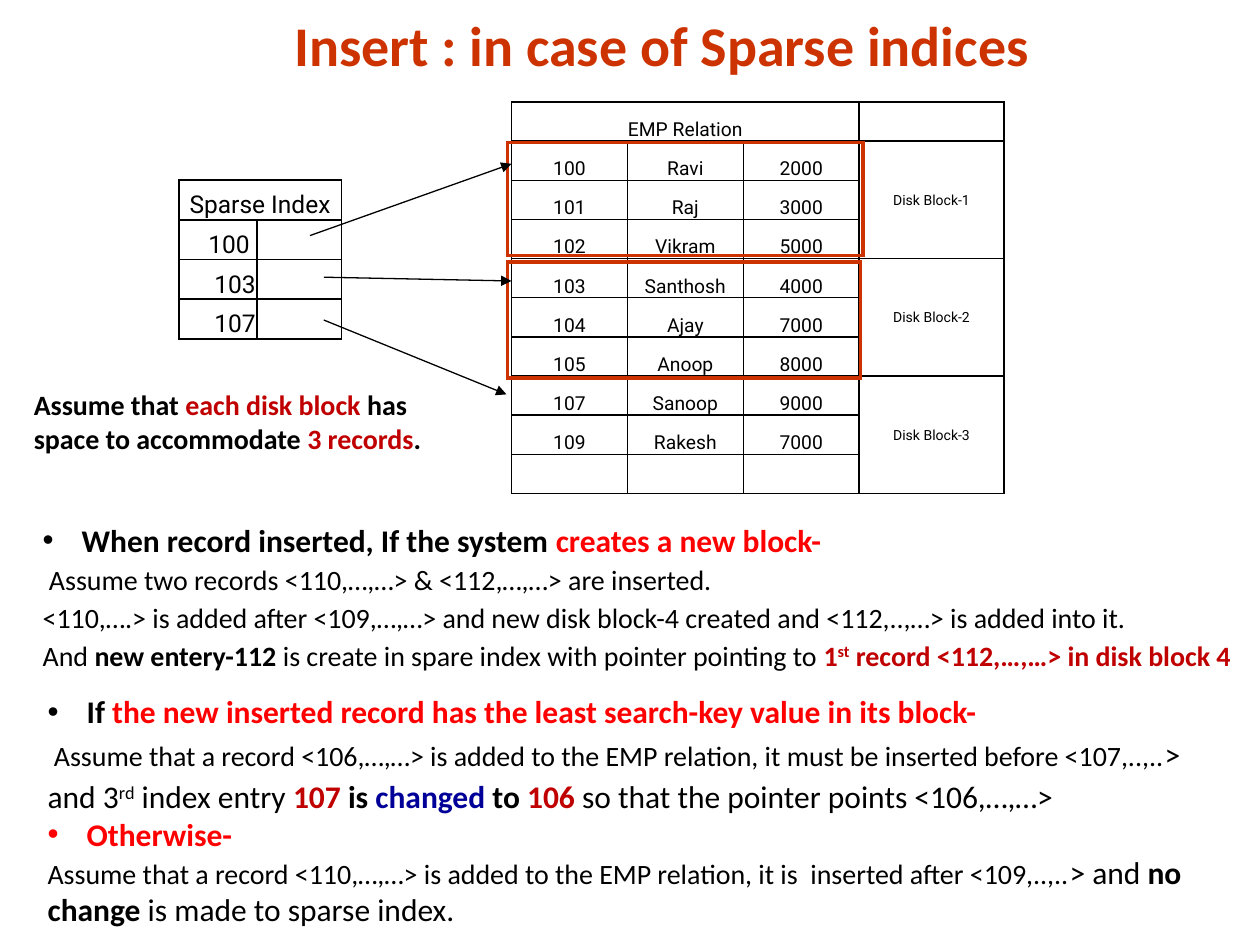
import pptx
import pptx.dml.color
import pptx.enum.shapes
import pptx.enum.text
import pptx.oxml
import pptx.oxml.ns
import pptx.util
from dataclasses import dataclass, field
from pptx.util import Inches

ALIGN = pptx.enum.text.PP_ALIGN
ANCHOR = pptx.enum.text.MSO_ANCHOR
NS = pptx.oxml.ns.nsdecls("a")


@dataclass
class Theme:
    body_font: str = "Calibri"
    table_font: str = "Roboto"
    colors: dict = field(default_factory=lambda: dict(
        black="000000", rust="CC3300", red="FF0000", crimson="C00000", navy="000099"))
    sizes: dict = field(default_factory=lambda: dict(
        title=32, large=18, body=16, index=14, relation=11, block=8))


THEME = Theme()


def rgb(color):
    return pptx.dml.color.RGBColor.from_string(THEME.colors[color])


def add_run(paragraph, text, size="body", color="black", bold=False,
            raised=False, face=THEME.body_font):
    run = paragraph.add_run()
    run.text = text
    look = {"name": face, "size": pptx.util.Pt(THEME.sizes[size]), "bold": bold}
    for name, value in look.items():
        setattr(run.font, name, value)
    run.font.color.rgb = rgb(color)
    if raised:
        run._r.get_or_add_rPr().set("baseline", "30000")


def add_text(slide, box, paragraphs, wrap=True, anchor=ANCHOR.TOP, align=ALIGN.LEFT):
    """Each paragraph is (bulleted, line spacing, runs)."""
    frame = slide.shapes.add_textbox(*map(Inches, box)).text_frame
    settings = {"word_wrap": wrap, "vertical_anchor": anchor,
                "auto_size": pptx.enum.text.MSO_AUTO_SIZE.NONE if anchor == ANCHOR.BOTTOM
                else pptx.enum.text.MSO_AUTO_SIZE.SHAPE_TO_FIT_TEXT}
    for name, value in settings.items():
        setattr(frame, name, value)
    for number, (bulleted, spacing, runs) in enumerate(paragraphs):
        paragraph = frame.add_paragraph() if number else frame.paragraphs[0]
        if bulleted:
            props = paragraph._p.get_or_add_pPr()
            props.set("marL", str(Inches(0.31)))
            props.set("indent", str(Inches(-0.31)))
            for xml in ('<a:buFont %s typeface="Arial"/>', '<a:buChar %s char="•"/>'):
                props.append(pptx.oxml.parse_xml(xml % NS))
        paragraph.alignment = align
        paragraph.line_spacing = spacing
        for text, *style in runs:
            add_run(paragraph, text, *style)


def add_grid(slide, box, widths, row_count, border="black", border_width=1):
    """Add an unfilled table with equal rows and a border around every cell."""
    table = slide.shapes.add_table(row_count, len(widths), *map(Inches, box)).table
    table.first_row = table.horz_banding = False
    for column, width in zip(table.columns, widths):
        column.width = Inches(width)
    for row in table.rows:
        row.height = Inches(box[3] / row_count)
    for cell in table.iter_cells():
        cell.fill.background()
        props = cell._tc.get_or_add_tcPr()
        for position, side in enumerate("LRTB"):
            props.insert(position, pptx.oxml.parse_xml(
                f'<a:ln{side} {NS} w="{pptx.util.Pt(border_width)}"><a:solidFill>'
                f'<a:srgbClr val="{THEME.colors[border]}"/></a:solidFill></a:ln{side}>'))
    return table


def fill_cell(cell, text, size, align=ALIGN.CENTER, anchor=ANCHOR.BOTTOM):
    margin = Inches(0.01)
    layout = {"margin_left": margin, "margin_right": margin, "margin_top": margin,
              "margin_bottom": 0, "vertical_anchor": anchor}
    for name, value in layout.items():
        setattr(cell, name, value)
    paragraph = cell.text_frame.paragraphs[0]
    paragraph.alignment = align
    if text:
        add_run(paragraph, text, size, face=THEME.table_font)
    else:
        end = paragraph._p.get_or_add_endParaRPr()
        end.set("sz", str(THEME.sizes[size] * 100))


def add_sparse_index(slide, box):
    keys = ["100 ", "103", "107"]
    table = add_grid(slide, box, [0.62, 0.67], len(keys) + 1)
    table.cell(0, 0).merge(table.cell(0, 1))
    fill_cell(table.cell(0, 0), "Sparse Index", "index")
    for row, key in enumerate(keys, 1):
        fill_cell(table.cell(row, 0), key, "index", ALIGN.RIGHT)
        fill_cell(table.cell(row, 1), "", "index")


def add_emp_relation(slide, box):
    records = [("100", "Ravi", "2000"), ("101", "Raj", "3000"), ("102", "Vikram", "5000"),
               ("103", "Santhosh", "4000"), ("104", "Ajay", "7000"), ("105", "Anoop", "8000"),
               ("107", "Sanoop", "9000"), ("109", "Rakesh", "7000"), ("", "", "")]
    block_size = 3
    table = add_grid(slide, box, [0.92, 0.92, 0.92, 1.15], len(records) + 1)
    table.cell(0, 0).merge(table.cell(0, 2))
    fill_cell(table.cell(0, 0), "EMP Relation", "relation")
    fill_cell(table.cell(0, 3), "", "relation")
    for row, record in enumerate(records, 1):
        for column, value in enumerate(record):
            fill_cell(table.cell(row, column), value, "relation")
    for block in range(len(records) // block_size):
        top = 1 + block * block_size
        table.cell(top, 3).merge(table.cell(top + block_size - 1, 3))
        fill_cell(table.cell(top, 3), f"Disk Block-{block + 1}", "block", anchor=ANCHOR.MIDDLE)


def add_block_frame(slide, box):
    add_grid(slide, box, [box[2]], 1, "rust", 2.25)


def add_pointer(slide, start, end):
    pointer = slide.shapes.add_connector(
        pptx.enum.shapes.MSO_CONNECTOR.STRAIGHT, *map(Inches, start + end))
    pointer.line.color.rgb = rgb("black")
    pointer.line.width = pptx.util.Pt(0.75)
    pointer.line._get_or_add_ln().append(
        pptx.oxml.parse_xml(f'<a:tailEnd {NS} type="triangle"/>'))
    pointer._element.spPr.append(pptx.oxml.parse_xml(f"<a:effectLst {NS}/>"))


def add_title(slide, box):
    title = ("Insert : in case of Sparse indices", "title", "rust", True)
    add_text(slide, box, [(False, 1.0, [title])], anchor=ANCHOR.BOTTOM, align=ALIGN.CENTER)


def add_assumption(slide, box):
    add_text(slide, box, [(False, 1.0, [
        ("Assume that ", "body", "black", True),
        ("each disk block ", "body", "crimson", True),
        ("has space to accommodate ", "body", "black", True),
        ("3 records", "body", "crimson", True),
        (".", "body", "black", True)])])


def add_new_block_case(slide, box):
    add_text(slide, box, [
        (True, 1.12, [("When record inserted, If the system ", "large", "black", True),
                      ("creates a new block-", "large", "red", True)]),
        (False, 1.12, [(" Assume two records <110,…,…> & <112,…,…> are inserted.",)]),
        (False, 1.12, [("<110,….> is added after <109,…,…> and new disk block-4 created "
                        "and <112,..,…> is added into it.",)]),
        (False, 1.12, [("And ",), ("new entery-112 ", "body", "black", True),
                       ("is create in spare index with pointer pointing to ",),
                       ("1", "body", "crimson", True),
                       ("st", "body", "crimson", True, True),
                       (" record <112,…,…> in disk block 4", "body", "crimson", True)]),
    ], wrap=False)


def add_other_cases(slide, box):
    add_text(slide, box, [
        (True, 1.12, [("If ", "large", "black", True),
                      ("the new inserted record has the least search-key value in its block-",
                       "large", "red", True)]),
        (False, 1.12, [(" Assume that a record <106,…,…> is added to the EMP relation, "
                        "it must be inserted before <107,..,..",),
                       ("> and 3", "large"), ("rd", "large", "black", False, True),
                       (" index entry ", "large"), ("107", "large", "crimson", True),
                       (" is ", "large", "black", True), ("changed", "large", "navy", True),
                       (" to ", "large", "black", True), ("106 ", "large", "crimson", True),
                       ("so that the pointer points <106,…,…>", "large")]),
        (True, 1.0, [("Otherwise-", "large", "red", True)]),
        (False, 1.0, [("Assume that a record <110,…,…> is added to the EMP relation, "
                       "it is  inserted after <109,..,..",), ("> and ", "large"),
                      ("no change", "large", "black", True),
                      (" is made to sparse index.", "large")]),
    ])


def main():
    deck = pptx.Presentation()
    deck.slide_width, deck.slide_height = Inches(10), Inches(7.5)
    slide = deck.slides.add_slide(deck.slide_layouts[6])
    add_title(slide, (0.84, 0, 8.83, 0.67))

    # Index, relation and the frames around its first two blocks
    add_sparse_index(slide, (1.42, 1.43, 1.29, 1.26))
    add_emp_relation(slide, (4.06, 0.81, 3.92, 3.11))
    add_block_frame(slide, (4.03, 1.13, 2.82, 0.9))
    add_block_frame(slide, (4.03, 2.08, 2.8, 0.92))

    # Pointers from index entries to blocks
    for start, end in [((2.46, 1.87), (4.06, 1.3)), ((2.57, 2.2), (4.06, 2.23)),
                       ((2.57, 2.54), (4.02, 3.13))]:
        add_pointer(slide, start, end)

    # Explanations
    add_new_block_case(slide, (0.24, 4.05, 9.69, 1.35))
    add_other_cases(slide, (0.28, 5.41, 9.54, 2.03))
    add_assumption(slide, (0.17, 3.03, 3.55, 0.64))
    deck.save("out.pptx")


if __name__ == "__main__":
    main()
